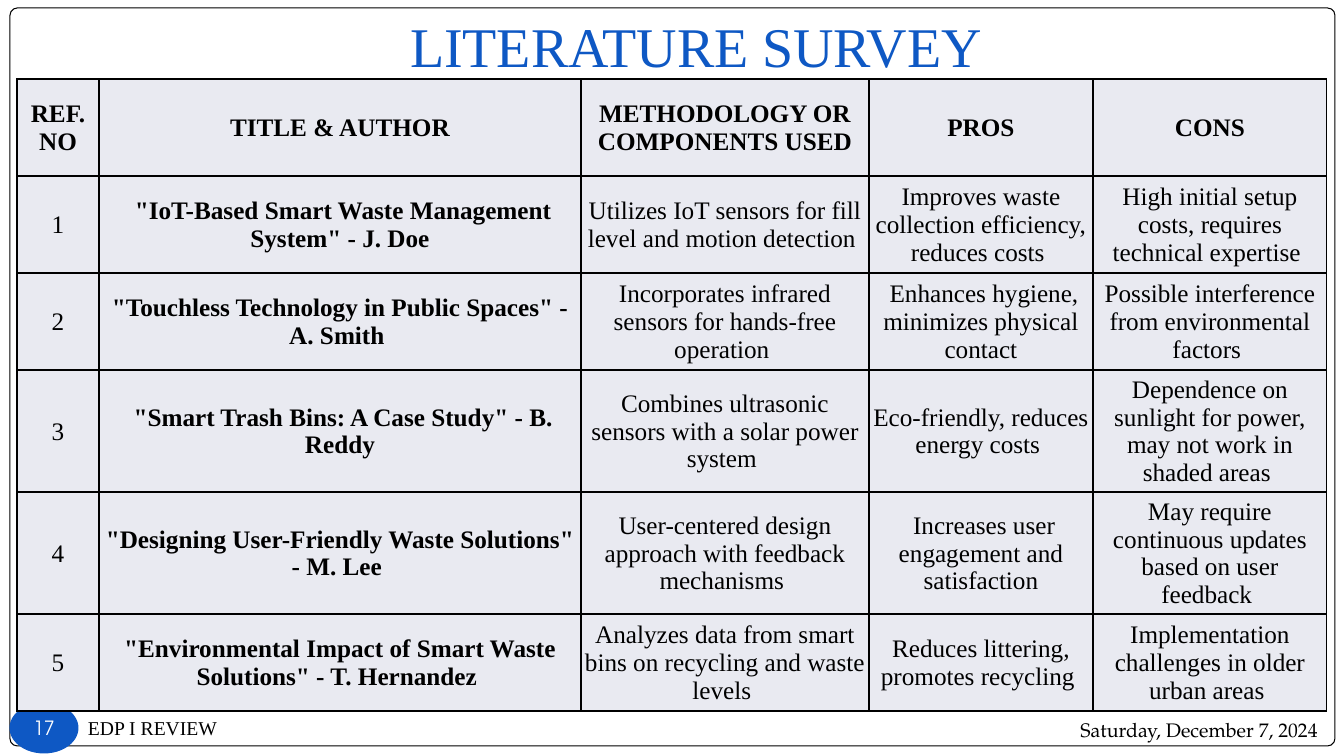
from dataclasses import dataclass

from lxml.etree import SubElement
from pptx import Presentation
from pptx.dml.color import RGBColor
from pptx.enum.shapes import MSO_SHAPE
from pptx.enum.text import MSO_ANCHOR, PP_ALIGN
from pptx.oxml.ns import qn
from pptx.util import Emu, Pt


@dataclass(frozen=True)
class Theme:
    white: str = "FFFFFF"
    black: str = "000000"
    blue: str = "0E58C4"
    cell: str = "E9EAF1"
    serif: str = "Times New Roman"
    date_font: str = "TeX Gyre Pagella"
    number_font: str = "TeX Gyre Adventor"
    title_size: int = 40
    table_size: int = 18
    footer_size: int = 14


theme = Theme()


def px(*lengths):
    return [Emu(round(length * 914400 / 100.8)) for length in lengths]


def write(holder, text, font, size, color, align, anchor, margins, bold=False):
    """Fill a text frame or table cell; margins are left, top, right, bottom."""
    frame = getattr(holder, "text_frame", holder)
    frame.word_wrap = True
    holder.vertical_anchor = anchor
    (holder.margin_left, holder.margin_top,
     holder.margin_right, holder.margin_bottom) = px(*margins)
    paragraph = frame.paragraphs[0]
    paragraph.text = text
    paragraph.alignment = align
    paragraph.font.name = font
    paragraph.font.size = Pt(size)
    paragraph.font.bold = bold
    paragraph.font.color.rgb = RGBColor.from_string(color)


prs = Presentation()
prs.slide_width, prs.slide_height = px(1344, 756)
slide = prs.slides.add_slide(prs.slide_layouts[6])
shapes = slide.shapes

# Page frame and page number badge
frame_border = shapes.add_shape(MSO_SHAPE.ROUNDED_RECTANGLE, *px(10, 8, 1325, 738))
frame_border.adjustments[0] = 0.01
badge = shapes.add_shape(MSO_SHAPE.OVAL, *px(10, 703, 68, 50))
for shape, fill, line in ((frame_border, theme.white, theme.black),
                          (badge, theme.blue, theme.blue)):
    shape.shadow.inherit = False
    shape.fill.solid()
    shape.fill.fore_color.rgb = RGBColor.from_string(fill)
    shape.line.color.rgb = RGBColor.from_string(line)
    shape.line.width = Pt(0.75)
write(badge.text_frame, "17", theme.number_font, theme.footer_size, theme.white,
      PP_ALIGN.CENTER, MSO_ANCHOR.MIDDLE, (0, 0, 0, 0))

# Title and footer
for box, text, font, size, color, align, anchor, margins in (
    ((125, -4, 1142, 93), "LITERATURE SURVEY", theme.serif, theme.title_size,
     theme.blue, PP_ALIGN.CENTER, MSO_ANCHOR.BOTTOM, (10, 5, 10, 10)),
    ((78, 713, 583, 30), "EDP I REVIEW", theme.serif, theme.footer_size,
     theme.black, PP_ALIGN.LEFT, MSO_ANCHOR.MIDDLE, (10, 0, 10, 0)),
    ((964, 704, 364, 52), "Saturday, December 7, 2024", theme.date_font,
     theme.footer_size, theme.black, PP_ALIGN.RIGHT, MSO_ANCHOR.MIDDLE, (10, 5, 10, 5)),
):
    text_box = shapes.add_textbox(*px(*box))
    write(text_box.text_frame, text, font, size, color, align, anchor, margins)

# Survey table
survey = [
    ("REF. NO", "TITLE & AUTHOR", "METHODOLOGY OR COMPONENTS USED", "PROS", "CONS"),
    ("1", " \"IoT-Based Smart Waste Management System\" - J. Doe",
     "Utilizes IoT sensors for fill level and motion detection ",
     "Improves waste collection efficiency, reduces costs ",
     "High initial setup costs, requires technical expertise "),
    ("2", "\"Touchless Technology in Public Spaces\" - A. Smith ",
     "Incorporates infrared sensors for hands-free operation ",
     " Enhances hygiene, minimizes physical contact",
     "Possible interference from environmental factors "),
    ("3", " \"Smart Trash Bins: A Case Study\" - B. Reddy",
     "Combines ultrasonic sensors with a solar power system ",
     "Eco-friendly, reduces energy costs ",
     "Dependence on sunlight for power, may not work in shaded areas "),
    ("4", "\"Designing User-Friendly Waste Solutions\" - M. Lee ",
     "User-centered design approach with feedback mechanisms ",
     " Increases user engagement and satisfaction",
     "May require continuous updates based on user feedback "),
    ("5", "\"Environmental Impact of Smart Waste Solutions\" - T. Hernandez ",
     "Analyzes data from smart bins on recycling and waste levels ",
     "Reduces littering, promotes recycling ",
     "Implementation challenges in older urban areas "),
]
column_widths = (82, 482, 288, 224, 234)
row_heights = (97, 97, 97, 113, 113, 97)

table = shapes.add_table(len(survey), len(column_widths),
                         *px(17, 79, sum(column_widths), sum(row_heights))).table
table.first_row = False
table.horz_banding = False
for column, width in zip(table.columns, px(*column_widths)):
    column.width = width
for row, height in zip(table.rows, px(*row_heights)):
    row.height = height

for r, entry in enumerate(survey):
    for c, text in enumerate(entry):
        cell = table.cell(r, c)
        write(cell, text, theme.serif, theme.table_size, theme.black,
              PP_ALIGN.CENTER, MSO_ANCHOR.MIDDLE, (1, 1, 1, 0),
              bold=r == 0 or c == 1)
        # Borders come before the fill in the cell properties
        properties = cell._tc.get_or_add_tcPr()
        for side in ("a:lnL", "a:lnR", "a:lnT", "a:lnB"):
            border = SubElement(properties, qn(side), w=str(Pt(1)))
            SubElement(SubElement(border, qn("a:solidFill")),
                       qn("a:srgbClr"), val=theme.black)
        cell.fill.solid()
        cell.fill.fore_color.rgb = RGBColor.from_string(theme.cell)

prs.save("out.pptx")
